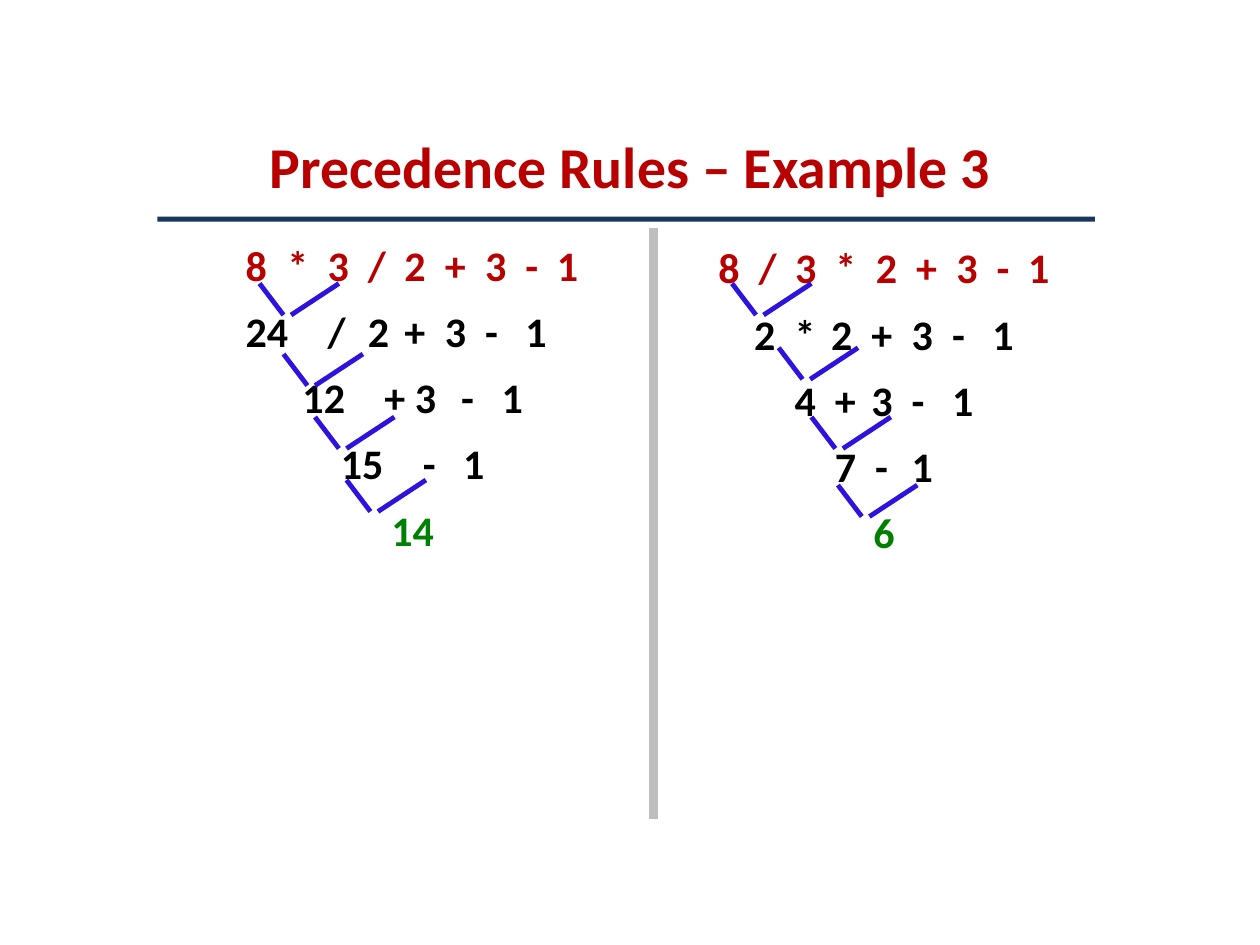
from lxml import etree
from pptx import Presentation
from pptx import util as u
from pptx.dml.color import RGBColor
from pptx.enum import shapes, text
from pptx.oxml import ns

RED, BLACK, GREEN = "B80000", "000000", "008000"
BLUE, NAVY, GRAY = "2C13DE", "17375E", "BEBEBE"
LEFT, CENTER = text.PP_ALIGN.LEFT, text.PP_ALIGN.CENTER


def rgb(value):
    return RGBColor.from_string(value)


class Deck:
    """Holds the text style and the current slide, and draws its elements."""

    font = "Calibri"

    def __init__(self, width, height):
        self.prs = Presentation()
        self.prs.slide_width = u.Inches(width)
        self.prs.slide_height = u.Inches(height)
        self.s = None

    def add_slide(self):
        self.s = self.prs.slides.add_slide(self.prs.slide_layouts[5])

    def frame(self, sp, top_inset, anchor):
        tf = sp.text_frame
        tf.word_wrap = True
        tf.auto_size = text.MSO_AUTO_SIZE.NONE
        tf.vertical_anchor = anchor
        tf.margin_left = tf.margin_right = tf.margin_bottom = 0
        tf.margin_top = u.Inches(top_inset)
        return tf

    def paragraph(self, p, content, size, color, align, before):
        p.text = content
        p.alignment = align
        p.space_before = u.Pt(before)
        p.font.name, p.font.size, p.font.bold = self.font, u.Pt(size), True
        p.font.color.rgb = rgb(color)

    def tabs(self, p, stops):
        tab_list = etree.Element(ns.qn("a:tabLst"))
        for stop in stops:
            etree.SubElement(tab_list, ns.qn("a:tab"), pos=str(u.Inches(stop)), algn="l")
        p._p.get_or_add_pPr().find(ns.qn("a:defRPr")).addprevious(tab_list)

    def title(self, content, left, top, width, height):
        sp = self.s.shapes.title
        sp.left, sp.top = u.Inches(left), u.Inches(top)
        sp.width, sp.height = u.Inches(width), u.Inches(height)
        tf = self.frame(sp, 0.01, text.MSO_ANCHOR.MIDDLE)
        self.paragraph(tf.paragraphs[0], content, 33, RED, CENTER, 0.8)

    def steps(self, rows, left, top, inset, stops, flush_rows=0):
        sp = self.s.shapes.add_textbox(*map(u.Inches, (left, top, 2.65, 2.66)))
        tf = self.frame(sp, inset, text.MSO_ANCHOR.TOP)
        for i, row in enumerate(rows):
            p = tf.add_paragraph() if i else tf.paragraphs[0]
            color = RED if i == 0 else GREEN if i == len(rows) - 1 else BLACK
            align = LEFT if i < flush_rows else CENTER
            self.paragraph(p, row, 24, color, align, 9 if i else 9.8)
            self.tabs(p, stops)

    def line(self, x1, y1, x2, y2, color, width):
        sp = self.s.shapes.add_connector(
            shapes.MSO_CONNECTOR.STRAIGHT, *map(u.Inches, (x1, y1, x2, y2)))
        sp.line.color.rgb = rgb(color)
        sp.line.width = u.Pt(width)
        etree.SubElement(sp._element.spPr, ns.qn("a:effectLst"))

    def bar(self, left, top, width, height, color):
        sp = self.s.shapes.add_shape(
            shapes.MSO_SHAPE.RECTANGLE, *map(u.Inches, (left, top, width, height)))
        sp.shadow.inherit = False
        sp.fill.solid()
        sp.fill.fore_color.rgb = rgb(color)
        sp.line.fill.background()

    def branch(self, x, y):
        self.line(x, y, x + 0.19, y + 0.25, BLUE, 2.75)
        self.line(x + 0.63, y, x + 0.25, y + 0.25, BLUE, 2.75)


def main():
    deck = Deck(10, 7.5)
    deck.add_slide()
    deck.title("Precedence Rules – Example 3", 1.81, 1.02, 6.38, 0.58)
    deck.bar(1.25, 1.72, 7.44, 0.04, NAVY)
    deck.line(5.19, 1.81, 5.19, 6.5, GRAY, 5.04)

    deck.steps(
        ["8\t*\t3\t/\t2\t+\t3\t-\t1", "24\t/\t2\t+\t3\t-\t1", "12\t+ 3\t-\t1",
         "15\t-\t1", "14"],
        1.95, 1.76, 0.14, [0.33, 0.65, 0.97, 1.26, 1.58, 1.9, 2.22, 2.47], flush_rows=2)
    deck.steps(
        ["8\t/\t3\t*\t2\t+\t3\t-\t1", "2\t*\t2\t+\t3\t-\t1", "4\t+\t3\t-\t1",
         "7\t-\t1", "6"],
        5.69, 1.79, 0.13, [0.32, 0.61, 0.93, 1.25, 1.57, 1.89, 2.21, 2.46])

    for x, y in [(2.06, 2.25), (2.25, 2.81), (2.5, 3.31), (2.75, 3.81),
                 (5.81, 2.25), (6.18, 2.76), (6.44, 3.31), (6.65, 3.85)]:
        deck.branch(x, y)
    deck.prs.save("out.pptx")


if __name__ == "__main__":
    main()
